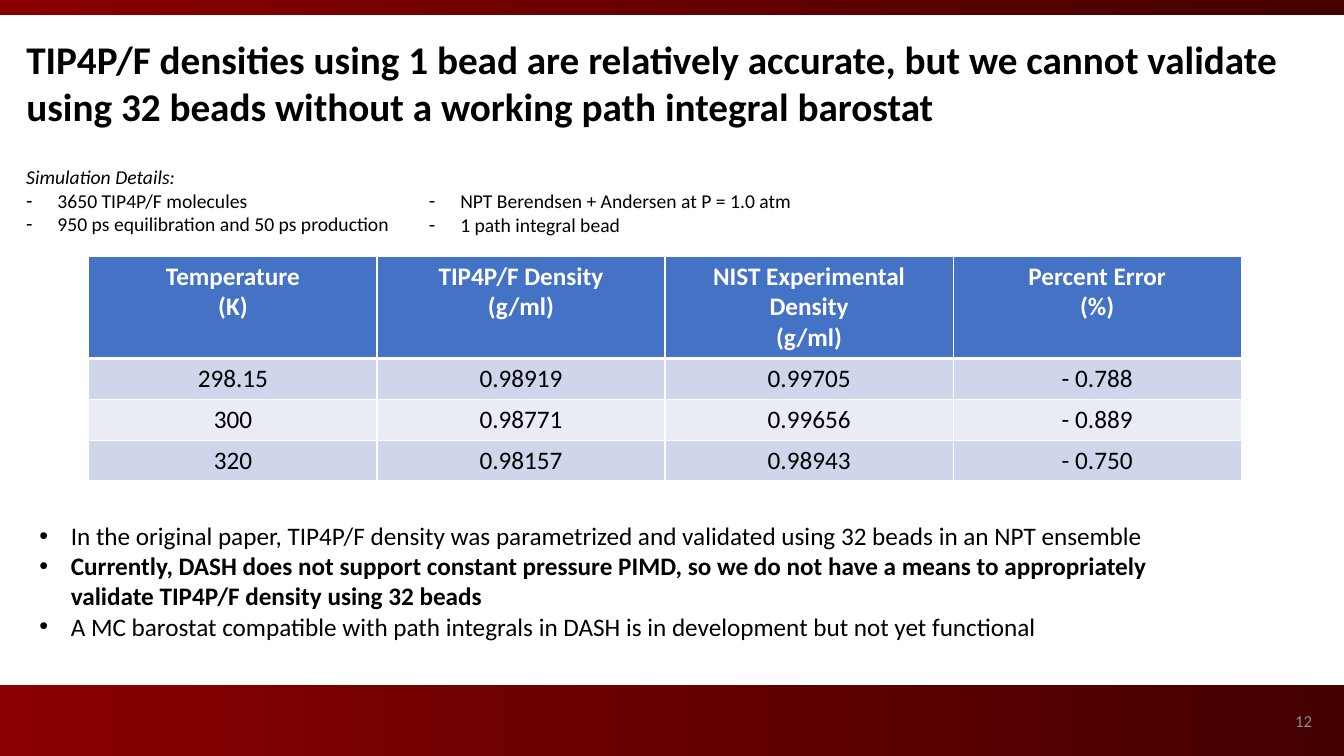
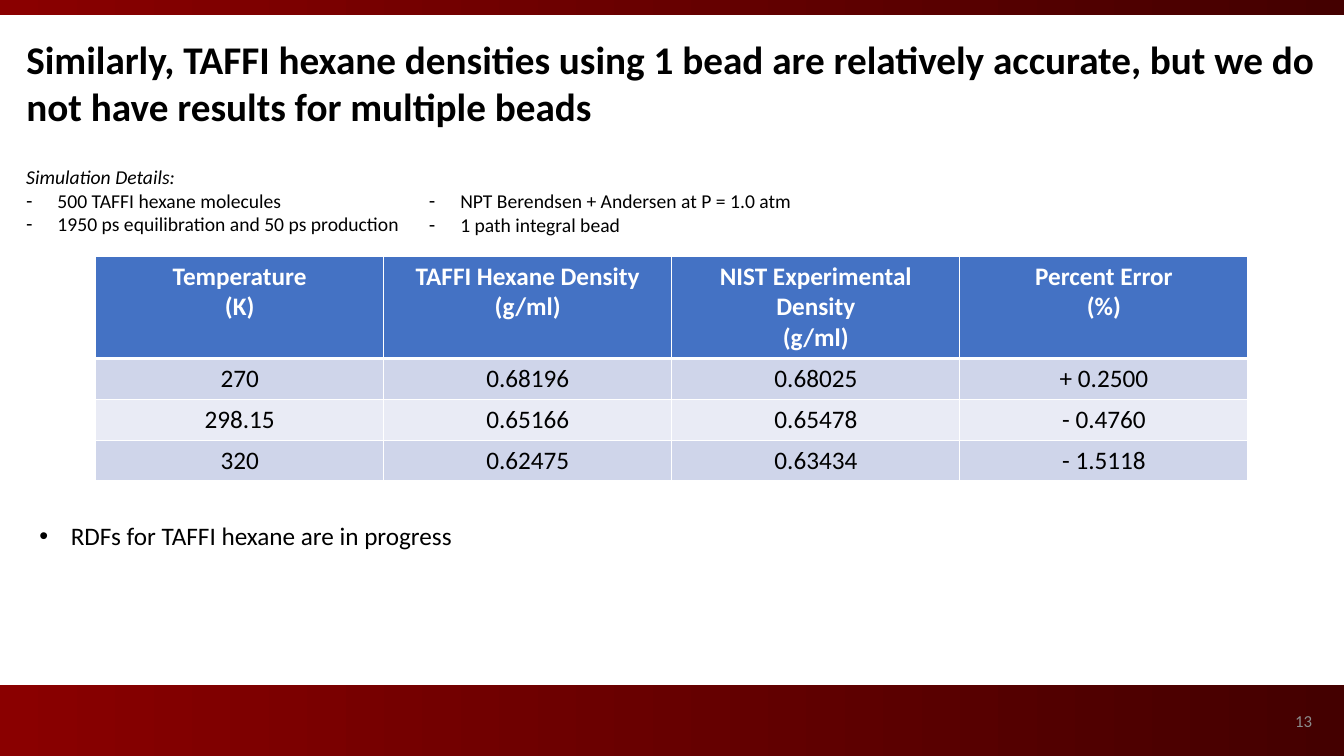
import pptx
import pptx.chart.data
import pptx.dml.color
import pptx.enum.shapes
import pptx.enum.text
import pptx.util
from dataclasses import dataclass
from lxml import etree
from pptx.oxml.ns import qn

Cm, Pt = pptx.util.Cm, pptx.util.Pt
RGB = pptx.dml.color.RGBColor.from_string
ALIGN = pptx.enum.text.PP_ALIGN
ANCHOR = pptx.enum.text.MSO_ANCHOR
RECT = pptx.enum.shapes.MSO_SHAPE.RECTANGLE


# Theme: colours, type sizes, shared measures (cm)
@dataclass(frozen=True)
class Theme:
    font: str = "Calibri"
    text: str = "000000"
    white: str = "FFFFFF"
    number: str = "8C8C8C"
    band: tuple = ("8A0000", "440000")
    header: str = "4472C4"
    rows: tuple = ("CFD5EA", "E9EBF5")
    title_size: int = 28
    body_size: int = 18
    detail_size: int = 14
    number_size: int = 12
    indent: float = 0.79


T = Theme()
WIDTH, HEIGHT = 33.87, 19.05
BANDS = [(17.27, 1.78), (0, 0.38)]  # top, height
TITLE_BOX = (0.41, 0.76, 33.45, 2.64)
DETAIL_BOXES = [(0.41, 4.04, 10.15, 2.06), (10.56, 4.64, 13.7, 1.46)]
NUMBER_BOX = (25.7, 17.65, 7.62, 1.02)
BODY_LEFT, BODY_TOP, BODY_WIDTH = 0.74, 12.98, 30.28
TABLE_TOP, COL_WIDTH, HEADER_HEIGHT, ROW_HEIGHT = 6.45, 7.26, 2.5, 1.03

# Content
RUN_SETUP = ["NPT Berendsen + Andersen at P = 1.0 atm", "1 path integral bead"]
SLIDES = [
    {
        "number": "12",
        "title": "TIP4P/F densities using 1 bead are relatively accurate, but we cannot "
                 "validate using 32 beads without a working path integral barostat",
        "details": ["3650 TIP4P/F molecules", "950 ps equilibration and 50 ps production"],
        "substance": "TIP4P/F",
        "table_left": 2.24,
        "rows": [
            ("298.15", "0.98919", "0.99705", "- 0.788"),
            ("300", "0.98771", "0.99656", "- 0.889"),
            ("320", "0.98157", "0.98943", "- 0.750"),
        ],
        "body_height": 3.33,
        "points": [
            ("In the original paper, TIP4P/F density was parametrized and validated "
             "using 32 beads in an NPT ensemble", False),
            ("Currently, DASH does not support constant pressure PIMD, so we do not have "
             "a means to appropriately validate TIP4P/F density using 32 beads", True),
            ("A MC barostat compatible with path integrals in DASH is in development "
             "but not yet functional", False),
        ],
    },
    {
        "number": "13",
        "title": "Similarly, TAFFI hexane densities using 1 bead are relatively accurate, "
                 "but we do not have results for multiple beads",
        "details": ["500 TAFFI hexane molecules", "1950 ps equilibration and 50 ps production"],
        "substance": "TAFFI Hexane",
        "table_left": 2.41,
        "rows": [
            ("270", "0.68196", "0.68025", "+ 0.2500"),
            ("298.15", "0.65166", "0.65478", "- 0.4760"),
            ("320", "0.62475", "0.63434", "- 1.5118"),
        ],
        "body_height": 1.02,
        "points": [("RDFs for TAFFI hexane are in progress", False)],
    },
]


# Text helpers
def set_bullet(p, char):
    pPr = p._p.get_or_add_pPr()
    indent = Cm(T.indent)
    pPr.set("marL", str(indent))
    pPr.set("indent", str(-indent))
    etree.SubElement(pPr, qn("a:buFont")).set("typeface", "Arial")
    etree.SubElement(pPr, qn("a:buChar")).set("char", char)


def write(tf, lines, size, color=T.text, align=ALIGN.LEFT, anchor=ANCHOR.TOP):
    """Each line is a dict: text, plus optional bullet, bold and italic."""
    tf.word_wrap = True
    tf.auto_size = pptx.enum.text.MSO_AUTO_SIZE.NONE
    tf.vertical_anchor = anchor
    fill_paragraphs(tf, lines, size, color, align)


def fill_paragraphs(tf, lines, size, color, align):
    for i, line in enumerate(lines):
        p = tf.paragraphs[0] if i == 0 else tf.add_paragraph()
        layout = {"alignment": align, "space_before": Pt(0), "line_spacing": 1.0}
        for name, value in layout.items():
            setattr(p, name, value)
        if "bullet" in line:
            set_bullet(p, line["bullet"])
        r = p.add_run()
        r.text = line["text"]
        style = {"name": T.font, "size": Pt(size), "bold": line.get("bold", False),
                 "italic": line.get("italic", False)}
        for name, value in style.items():
            setattr(r.font, name, value)
        r.font.color.rgb = RGB(color)


def place(sp, box):
    for name, value in zip(("left", "top", "width", "height"), box):
        setattr(sp, name, Cm(value))


def add_text(slide, box, lines, size, **options):
    sp = slide.shapes.add_textbox(*map(Cm, box))
    write(sp.text_frame, lines, size, **options)


# Shared parts
def add_band(slide, top, height):
    sp = slide.shapes.add_shape(RECT, 0, Cm(top), Cm(WIDTH), Cm(height))
    sp.shadow.inherit = False
    sp.line.fill.background()
    sp.fill.gradient()
    sp.fill.gradient_angle = 0
    for stop, position, color in zip(sp.fill.gradient_stops, (0, 1), T.band):
        stop.position = position
        stop.color.rgb = RGB(color)


def set_borders(cell, bottom):
    tcPr = cell._tc.get_or_add_tcPr()
    for side, width in (("L", 1), ("R", 1), ("T", 1), ("B", bottom)):
        ln = etree.SubElement(tcPr, qn(f"a:ln{side}"), w=str(Pt(width)))
        fill = etree.SubElement(ln, qn("a:solidFill"))
        etree.SubElement(fill, qn("a:srgbClr")).set("val", T.white)


def add_density_table(slide, left, substance, rows):
    header = [("Temperature", "(K)"), (f"{substance} Density", "(g/ml)"),
              ("NIST Experimental Density", "(g/ml)"), ("Percent Error", "(%)")]
    grid = [header] + [[(value,) for value in row] for row in rows]
    heights = [HEADER_HEIGHT] + [ROW_HEIGHT] * len(rows)
    table = slide.shapes.add_table(
        len(grid), len(header), Cm(left), Cm(TABLE_TOP),
        Cm(COL_WIDTH * len(header)), Cm(sum(heights))).table
    for column in table.columns:
        column.width = Cm(COL_WIDTH)
    for i, (cells, height) in enumerate(zip(grid, heights)):
        is_header = i == 0
        table.rows[i].height = Cm(height)
        for j, texts in enumerate(cells):
            cell = table.cell(i, j)
            set_borders(cell, 3 if is_header else 1)
            cell.fill.solid()
            cell.fill.fore_color.rgb = RGB(T.header if is_header else T.rows[(i - 1) % 2])
            lines = [{"text": text, "bold": is_header} for text in texts]
            fill_paragraphs(cell.text_frame, lines, T.body_size,
                            T.white if is_header else T.text, ALIGN.CENTER)


def add_slide(prs, data):
    slide = prs.slides.add_slide(prs.slide_layouts[1])
    title, body = slide.shapes.title, slide.placeholders[1]
    for top, height in BANDS:
        add_band(slide, top, height)
    add_text(slide, NUMBER_BOX, [{"text": data["number"]}], T.number_size,
             color=T.number, align=ALIGN.RIGHT, anchor=ANCHOR.MIDDLE)

    # Title
    place(title, TITLE_BOX)
    write(title.text_frame, [{"text": data["title"], "bold": True}], T.title_size)

    # Simulation details in two columns
    columns = [[{"text": text, "bullet": "-"} for text in texts]
               for texts in (data["details"], RUN_SETUP)]
    columns[0].insert(0, {"text": "Simulation Details:", "italic": True})
    for box, lines in zip(DETAIL_BOXES, columns):
        add_text(slide, box, lines, T.detail_size)

    # Densities and remarks
    add_density_table(slide, data["table_left"], data["substance"], data["rows"])
    place(body, (BODY_LEFT, BODY_TOP, BODY_WIDTH, data["body_height"]))
    points = [{"text": text, "bold": bold, "bullet": "•"} for text, bold in data["points"]]
    write(body.text_frame, points, T.body_size)


def main():
    prs = pptx.Presentation()
    prs.slide_width, prs.slide_height = Cm(WIDTH), Cm(HEIGHT)
    for data in SLIDES:
        add_slide(prs, data)
    prs.save("out.pptx")


if __name__ == "__main__":
    main()
